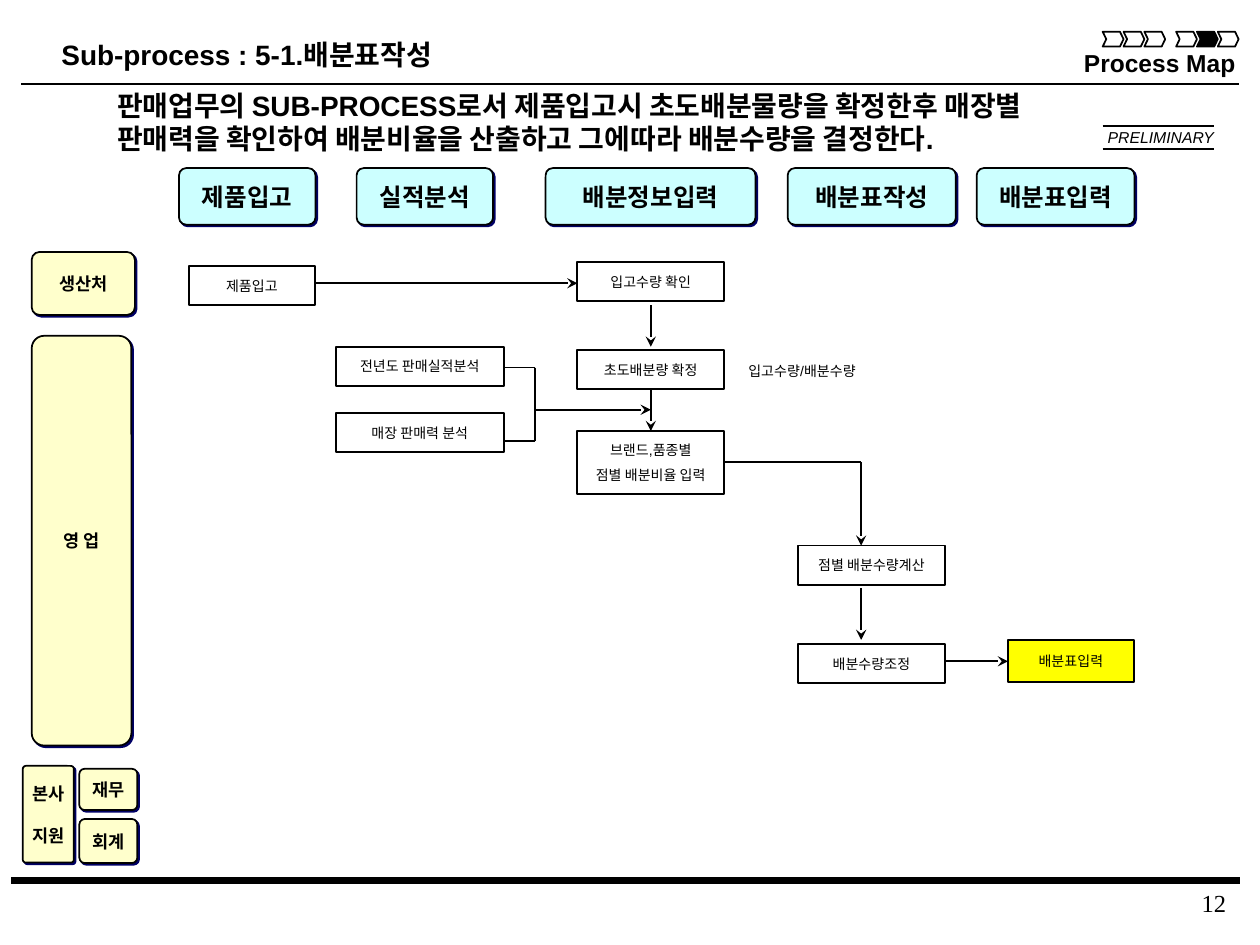
import pptx
import pptx.util
import pptx.dml.color
import pptx.enum.shapes
import pptx.enum.text
import pptx.oxml
import pptx.oxml.ns

Cm, Pt = pptx.util.Cm, pptx.util.Pt
SHAPE = pptx.enum.shapes.MSO_SHAPE
ALIGN = pptx.enum.text.PP_ALIGN
ANCHOR = pptx.enum.text.MSO_ANCHOR
KOREAN = "Noto Sans CJK KR"
NS = pptx.oxml.ns.nsdecls("a")
SHADE = (f'<a:effectLst {NS}><a:outerShdw dist="17780" dir="2700000" algn="ctr" '
         'rotWithShape="0"><a:srgbClr val="000066"/></a:outerShdw></a:effectLst>')


def color(code):
    return pptx.dml.color.RGBColor.from_string(code)


def write(shape, text, size, font="Arial", bold=False, italic=False,
          align=ALIGN.CENTER, anchor=ANCHOR.MIDDLE, gap=0):
    """Fill a shape with text; gap is the space before each later paragraph."""
    frame = shape.text_frame
    frame.margin_left = frame.margin_right = 0
    frame.margin_top = frame.margin_bottom = 0
    frame.word_wrap = True
    frame.vertical_anchor = anchor
    frame.text = text
    for i, para in enumerate(frame.paragraphs):
        para.alignment = align
        if i and gap:
            para.space_before = Pt(gap)
        for run in para.runs:
            run.font.name = font
            run.font.size = Pt(size)
            run.font.bold = bold
            run.font.italic = italic
            run.font.color.rgb = color("000000")
            props = run.font._element
            east = pptx.oxml.parse_xml(f'<a:ea {NS} typeface="{KOREAN}"/>')
            props.find(pptx.oxml.ns.qn("a:latin")).addnext(east)


def label(slide, x, y, w, h, text, size, **style):
    style = {"anchor": ANCHOR.TOP, **style}
    box = slide.shapes.add_textbox(Cm(x), Cm(y), Cm(w), Cm(h))
    write(box, text, size, **style)


def block(slide, kind, x, y, w, h, fill=None):
    shape = slide.shapes.add_shape(kind, Cm(x), Cm(y), Cm(w), Cm(h))
    shape.shadow.inherit = False
    if fill:
        shape.fill.solid()
        shape.fill.fore_color.rgb = color(fill)
    else:
        shape.fill.background()
    shape.line.color.rgb = color("000000")
    shape.line.width = Pt(1)
    return shape


def card(slide, x, y, w, h, text, size, fill, curve=0.125):
    """Rounded box with a hard navy shadow."""
    shape = block(slide, SHAPE.ROUNDED_RECTANGLE, x, y, w, h, fill)
    shape.adjustments[0] = curve
    props = shape._element.spPr
    props.replace(props.find(pptx.oxml.ns.qn("a:effectLst")), pptx.oxml.parse_xml(SHADE))
    write(shape, text, size, font=KOREAN, bold=True, gap=12)


def rule(slide, x1, y1, x2, y2, width=1, arrow=False):
    line = slide.shapes.add_connector(
        pptx.enum.shapes.MSO_CONNECTOR.STRAIGHT, Cm(x1), Cm(y1), Cm(x2), Cm(y2))
    line.line.color.rgb = color("000000")
    line.line.width = Pt(width)
    if arrow:
        line.line._get_or_add_ln().append(
            pptx.oxml.parse_xml(f'<a:tailEnd {NS} type="stealth"/>'))
    line._element.spPr.append(pptx.oxml.parse_xml(f"<a:effectLst {NS}/>"))


def header(slide, x, y, w, h):
    rule(slide, x, y + h, x + w, y + h)
    label(slide, x + 0.81, y + 0.12, 12, 0.7, "Sub-process : 5-1.배분표작성", 16,
          bold=True, align=ALIGN.LEFT)
    label(slide, x + w - 3.59, y + 0.33, 4, 0.6, "Process Map", 14, bold=True)
    wide = 0.42
    for start, active in ((2.74, None), (1.26, 1)):
        for i in range(3):
            mark = block(slide, SHAPE.CHEVRON, x + w - start + i * wide, y, wide, 0.3,
                         "000000" if i == active else None)
            mark.adjustments[0] = 0.24


def summary(slide, x, y, w, h):
    label(slide, x, y, w, h,
          "판매업무의 SUB-PROCESS로서 제품입고시 초도배분물량을 확정한후 매장별\n"
          "판매력을 확인하여 배분비율을 산출하고 그에따라 배분수량을 결정한다.",
          16, bold=True, align=ALIGN.LEFT)


def stamp(slide, x, y, w, h):
    for edge in (y, y + h):
        rule(slide, x, edge, x + w, edge)
    label(slide, x, y, w, h, "PRELIMINARY", 9, italic=True, align=ALIGN.RIGHT,
          anchor=ANCHOR.MIDDLE)


def stages(slide, x, y, h):
    for dx, w, text in ((0, 2.75, "제품입고"), (3.58, 2.75, "실적분석"),
                        (7.39, 4.23, "배분정보입력"), (12.27, 3.39, "배분표작성"),
                        (16.08, 3.18, "배분표입력")):
        card(slide, x + dx, y, w, h, text, 14, "CCFFFF")


def lanes(slide, x, y):
    for dx, dy, w, h, text, curve in (
            (0.18, 0, 2.08, 1.27, "생산처", 0.125),
            (0.18, 1.69, 2.01, 8.26, "영 업", 0.125),
            (0, 10.36, 1.03, 1.95, "본사\n지원", 0.06),
            (1.14, 10.42, 1.17, 0.83, "재무", 0.125),
            (1.14, 11.43, 1.17, 0.89, "회계", 0.125)):
        card(slide, x + dx, y + dy, w, h, text, 10, "FFFFCC", curve)


def flow(slide, x, y):
    low = 0.79
    for dx, dy, w, h, text, fill in (
            (0, 0.08, 2.54, low, "제품입고", "FFFFFF"),
            (2.96, 1.71, 3.39, low, "전년도 판매실적분석", "FFFFFF"),
            (2.96, 3.05, 3.39, low, "매장 판매력 분석", "FFFFFF"),
            (7.83, 0, 2.96, low, "입고수량 확인", "FFFFFF"),
            (7.83, 1.78, 2.96, low, "초도배분량 확정", "FFFFFF"),
            (7.83, 3.41, 2.96, 1.27, "브랜드,품종별\n점별 배분비율 입력", "FFFFFF"),
            (12.28, 5.72, 2.96, low, "점별 배분수량계산", "FFFFFF"),
            (12.28, 7.7, 2.96, low, "배분수량조정", "FFFFFF"),
            (16.51, 7.62, 2.54, 0.85, "배분표입력", "FFFF00")):
        step = block(slide, SHAPE.RECTANGLE, x + dx, y + dy, w, h, fill)
        write(step, text, 8, gap=5)
    label(slide, x + 10.95, y + 2.03, 2.82, 0.4, "입고수량/배분수량", 8)

    mid, join, turn = 9.31, 6.98, 13.55
    for x1, y1, x2, y2, arrow in (
            (2.54, 0.43, 7.83, 0.43, True),
            (mid, 0.87, mid, 1.71, True),
            (mid, 2.55, mid, 3.41, True),
            (join, 2.13, join, 3.61, False),
            (join, 2.13, 6.35, 2.13, False),
            (join, 3.61, 6.35, 3.61, False),
            (join, 2.98, mid, 2.98, True),
            (10.79, 4.03, turn, 4.03, False),
            (turn, 4.03, turn, 5.72, True),
            (turn, 6.58, turn, 7.62, True),
            (15.24, 8.05, 16.51, 8.05, True)):
        rule(slide, x + x1, y + y1, x + x2, y + y2, arrow=arrow)


def footer(slide, x, y, w):
    for dx in (0, 0.2):
        rule(slide, x + dx, y, x + dx + w, y, width=3.75)
    label(slide, x + w - 4.07, y + 0.15, 4, 0.6, "12", 14,
          font="Times New Roman", align=ALIGN.RIGHT)


def main():
    deck = pptx.Presentation()
    deck.slide_width, deck.slide_height = Cm(25.4), Cm(19.05)
    slide = deck.slides.add_slide(deck.slide_layouts[6])
    header(slide, 0.43, 0.64, 24.54, 1.06)
    summary(slide, 2.36, 1.78, 22, 1.4)
    stamp(slide, 22.23, 2.54, 2.24, 0.46)
    stages(slide, 3.61, 3.39, 1.14)
    lanes(slide, 0.46, 5.08)
    flow(slide, 3.81, 5.28)
    footer(slide, 0.23, 17.75, 24.56)
    deck.save("out.pptx")


if __name__ == "__main__":
    main()
